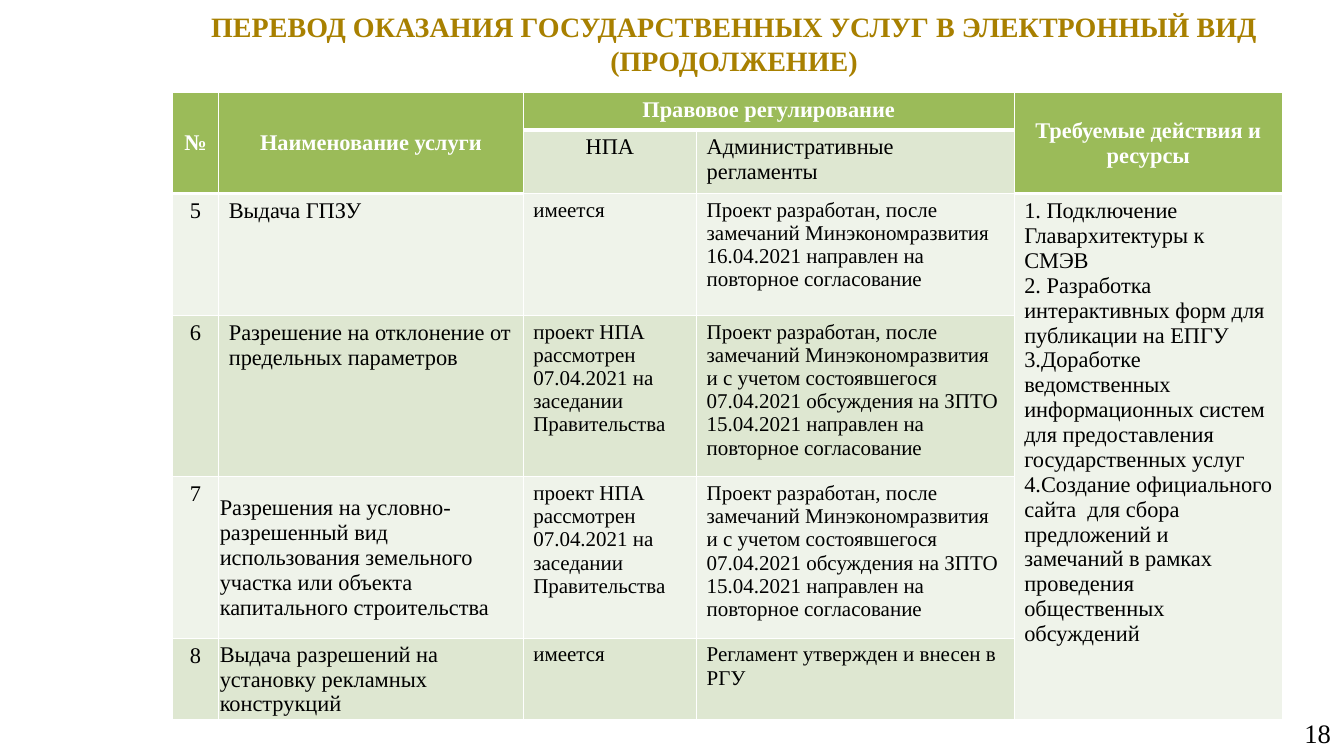
from lxml import etree
from pptx import Presentation
from pptx.dml.color import RGBColor
from pptx.enum.text import MSO_ANCHOR, PP_ALIGN
from pptx.oxml.ns import qn
from pptx.util import Inches, Pt

LEFT, CENTER, RIGHT = PP_ALIGN.LEFT, PP_ALIGN.CENTER, PP_ALIGN.RIGHT
TOP, MIDDLE = MSO_ANCHOR.TOP, MSO_ANCHOR.MIDDLE

FONT = "Times New Roman"
WHITE, BLACK, GOLD = "FFFFFF", "000000", "A88000"
GREEN, GREEN_SOFT, GREEN_PALE = "9BBB59", "DEE7D1", "EFF3EA"


def rgb(value):
    return RGBColor.from_string(value)


def write_text(frame, text, size, color, align, bold=False):
    frame.word_wrap = True
    font_format = {"name": FONT, "size": Pt(size), "bold": bold}
    for number, line in enumerate(text.split("\n")):
        paragraph = frame.paragraphs[0] if number == 0 else frame.add_paragraph()
        paragraph.alignment = align
        run = paragraph.add_run()
        run.text = line
        for key, value in font_format.items():
            setattr(run.font, key, value)
        run.font.color.rgb = rgb(color)


prs = Presentation()
prs.slide_width, prs.slide_height = Inches(13.33), Inches(7.5)
slide = prs.slides.add_slide(prs.slide_layouts[6])

# Page number and title
for box, text, size, color, align, bold in (
    ((10.22, 7.07, 3.11, 0.4), "18", 19, BLACK, RIGHT, False),
    ((1.56, -0.07, 11.44, 1),
     "ПЕРЕВОД ОКАЗАНИЯ ГОСУДАРСТВЕННЫХ УСЛУГ В ЭЛЕКТРОННЫЙ ВИД (ПРОДОЛЖЕНИЕ)",
     20, GOLD, CENTER, True),
):
    frame = slide.shapes.add_textbox(*map(Inches, box)).text_frame
    frame.vertical_anchor = MIDDLE
    frame.margin_left = frame.margin_right = Inches(0.13)
    frame.margin_top = frame.margin_bottom = Inches(0.07)
    write_text(frame, text, size, color, align, bold)

# Table content; None marks a cell covered by a merge
draft = "проект НПА рассмотрен 07.04.2021 на заседании Правительства"
resubmitted = ("Проект разработан, после замечаний Минэкономразвития и с учетом "
               "состоявшегося 07.04.2021 обсуждения на ЗПТО 15.04.2021 "
               "направлен на повторное согласование")
actions = (
    "1. Подключение Главархитектуры к СМЭВ\n"
    "2. Разработка интерактивных форм для публикации на ЕПГУ\n"
    "3.Доработке  ведомственных информационных систем для предоставления "
    "государственных услуг\n"
    "4.Создание официального сайта  для сбора предложений и замечаний в рамках "
    "проведения общественных обсуждений"
)
services = [
    ["№", "Наименование услуги", "Правовое регулирование", None,
     "Требуемые действия и ресурсы"],
    [None, None, "НПА", "Административные регламенты", None],
    ["5", "Выдача ГПЗУ", "имеется",
     "Проект разработан, после замечаний Минэкономразвития 16.04.2021 "
     "направлен на повторное согласование", actions],
    ["6", "Разрешение на отклонение от предельных параметров",
     draft, resubmitted, None],
    ["7", "Разрешения на условно-разрешенный вид использования земельного "
     "участка или объекта капитального строительства", draft, resubmitted, None],
    ["8", "Выдача разрешений на установку рекламных конструкций",
     "имеется", "Регламент утвержден и внесен в РГУ", None],
]
col_widths = [0.46, 3.02, 1.72, 3.15, 2.66]
row_heights = [0.35, 0.53, 1.21, 1.03, 1.35, 0.74]

# Table grid
table = slide.shapes.add_table(
    len(row_heights), len(col_widths), Inches(1.71), Inches(0.92),
    Inches(sum(col_widths)), Inches(sum(row_heights))).table
for column, width in zip(table.columns, col_widths):
    column.width = Inches(width)
for row, height in zip(table.rows, row_heights):
    row.height = Inches(height)
for first, last in (((0, 0), (1, 0)), ((0, 1), (1, 1)), ((0, 2), (0, 3)),
                    ((0, 4), (1, 4)), ((2, 4), (5, 4))):
    table.cell(*first).merge(table.cell(*last))

# Cells
for r, service in enumerate(services):
    for c, text in enumerate(service):
        cell = table.cell(r, c)
        header = r == 0 or (r == 1 and c in (0, 1, 4))
        tall_header = header and c in (0, 1, 4)
        tight_name = c == 1 and r >= 4
        cell.vertical_anchor = MIDDLE if tall_header or tight_name else TOP
        if tight_name:
            cell.margin_left = cell.margin_right = cell.margin_top = Inches(0.01)
            cell.margin_bottom = 0

        # White borders, thick below the header
        for side in ("lnL", "lnR", "lnT", "lnB"):
            points = 3 if header and side == "lnB" else 1
            line = etree.SubElement(cell._tc.get_or_add_tcPr(), qn("a:" + side),
                                    w=str(Pt(points)))
            line_fill = etree.SubElement(line, qn("a:solidFill"))
            etree.SubElement(line_fill, qn("a:srgbClr"), val=WHITE)

        banded = (c == 4 and r > 1) or r % 2 == 0
        cell.fill.solid()
        cell.fill.fore_color.rgb = rgb(
            GREEN if header else GREEN_PALE if banded else GREEN_SOFT)

        if text:
            size = 15 if r > 1 and c in (2, 3) else 16
            align = CENTER if header or c == 0 or (r, c) == (1, 2) else LEFT
            write_text(cell.text_frame, text, size,
                       WHITE if header else BLACK, align, header)

prs.save("out.pptx")
